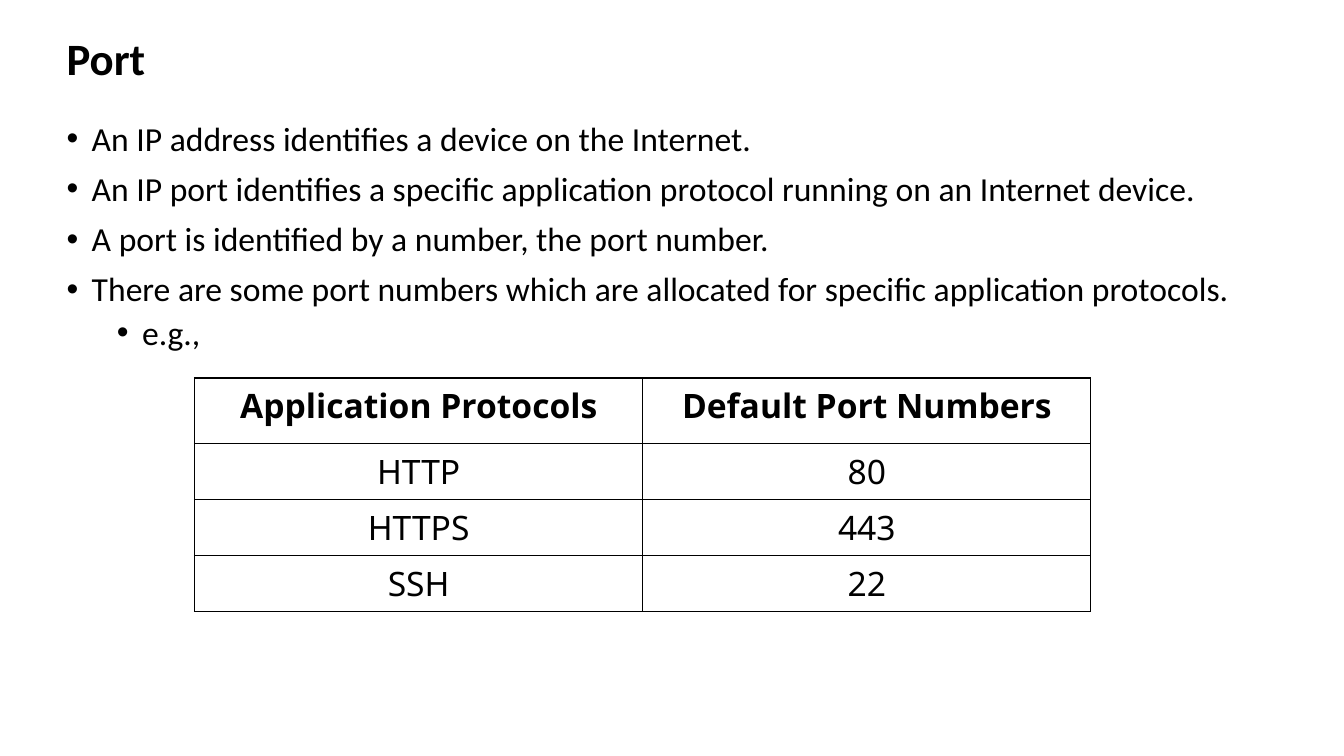
from dataclasses import dataclass

from lxml.etree import SubElement
from pptx import Presentation
from pptx.dml.color import RGBColor
from pptx.enum.text import MSO_ANCHOR, MSO_AUTO_SIZE, PP_ALIGN
from pptx.oxml import parse_xml
from pptx.oxml.ns import nsdecls, qn
from pptx.util import Inches, Pt


@dataclass(frozen=True)
class Theme:
    """Hold the colours, fonts and type sizes of the slide."""
    ink: str = "000000"
    sans: str = "Calibri"
    grid: str = "Noto Sans"
    head: int = 32
    body: int = 24


THEME = Theme()
POINTS = [
    ("An IP address identifies a device on the Internet.", 0),
    ("An IP port identifies a specific application protocol running on an Internet device.", 0),
    ("A port is identified by a number, the port number.", 0),
    ("There are some port numbers which are allocated for specific application protocols.", 0),
    ("e.g.,", 1),
]
PORTS = [
    ("Application Protocols", "Default Port Numbers"),
    ("HTTP", "80"),
    ("HTTPS", "443"),
    ("SSH", "22"),
]


def apply(item, values):
    """Set each attribute of the item from a dict."""
    for name, value in values.items():
        setattr(item, name, value)


def place(shape, box):
    """Move and size a shape to a box in inches."""
    names = ("left", "top", "width", "height")
    apply(shape, dict(zip(names, map(Inches, box))))


def write(para, text, face, size, bold=False, **form):
    """Fill a paragraph with one formatted run."""
    apply(para, form)
    run = para.add_run()
    run.text = text
    apply(run.font, {"name": face, "size": Pt(size), "bold": bold})
    run.font.color.rgb = RGBColor.from_string(THEME.ink)


def add_title(slide, box, text):
    """Write the title into its placeholder."""
    title = slide.shapes.title
    place(title, box)
    frame = title.text_frame
    apply(frame, {"vertical_anchor": MSO_ANCHOR.MIDDLE,
                  "auto_size": MSO_AUTO_SIZE.NONE, "word_wrap": True})
    write(frame.paragraphs[0], text, THEME.sans, THEME.head, True,
          alignment=PP_ALIGN.LEFT, line_spacing=0.9)


def add_list(slide, box, items):
    """Write the bulleted list into the body placeholder."""
    body = slide.placeholders[1]
    place(body, box)
    frame = body.text_frame
    apply(frame, {"vertical_anchor": MSO_ANCHOR.TOP,
                  "auto_size": MSO_AUTO_SIZE.NONE, "word_wrap": True})
    for i, (text, level) in enumerate(items):
        para = frame.add_paragraph() if i else frame.paragraphs[0]
        write(para, text, THEME.sans, THEME.body, level=level,
              line_spacing=0.9, space_before=Pt(5 if level else 10))
        props = para._p.get_or_add_pPr()
        props.set("marL", str(Inches(0.25 + 0.5 * level)))
        props.set("indent", str(Inches(-0.25)))
        SubElement(props, qn("a:buFont")).set("typeface", "Arial")
        SubElement(props, qn("a:buChar")).set("char", "•")


def add_edges(cell):
    """Draw a thin line on each side of a cell."""
    props = cell._tc.get_or_add_tcPr()
    for i, side in enumerate("LRTB"):
        props.insert(i, parse_xml(
            f'<a:ln{side} {nsdecls("a")} w="{Pt(1)}"><a:solidFill>'
            f'<a:srgbClr val="{THEME.ink}"/></a:solidFill></a:ln{side}>'))


def add_grid(slide, box, rows, highs):
    """Build the table with equal columns in the box."""
    wide = len(rows[0])
    table = slide.shapes.add_table(len(rows), wide, *map(Inches, box)).table
    apply(table, {"first_row": False, "horz_banding": False})
    for col in table.columns:
        col.width = Inches(box[2] / wide)
    for r, (texts, high) in enumerate(zip(rows, highs)):
        table.rows[r].height = Inches(high)
        for c, text in enumerate(texts):
            cell = table.cell(r, c)
            cell.fill.background()
            add_edges(cell)
            write(cell.text_frame.paragraphs[0], text, THEME.grid, THEME.body,
                  r == 0, alignment=PP_ALIGN.CENTER)


def main():
    """Build and save the slide."""
    deck = Presentation()
    apply(deck, {"slide_width": Inches(13.33), "slide_height": Inches(7.5)})
    slide = deck.slides.add_slide(deck.slide_layouts[1])
    add_title(slide, (0.56, 0.29, 6.32, 0.62), "Port")
    add_list(slide, (0.56, 1.16, 12.5, 4.07), POINTS)
    add_grid(slide, (1.93, 3.75, 8.89, 2.17), PORTS, (0.65, 0.52, 0.52, 0.48))
    deck.save("out.pptx")


if __name__ == "__main__":
    main()
